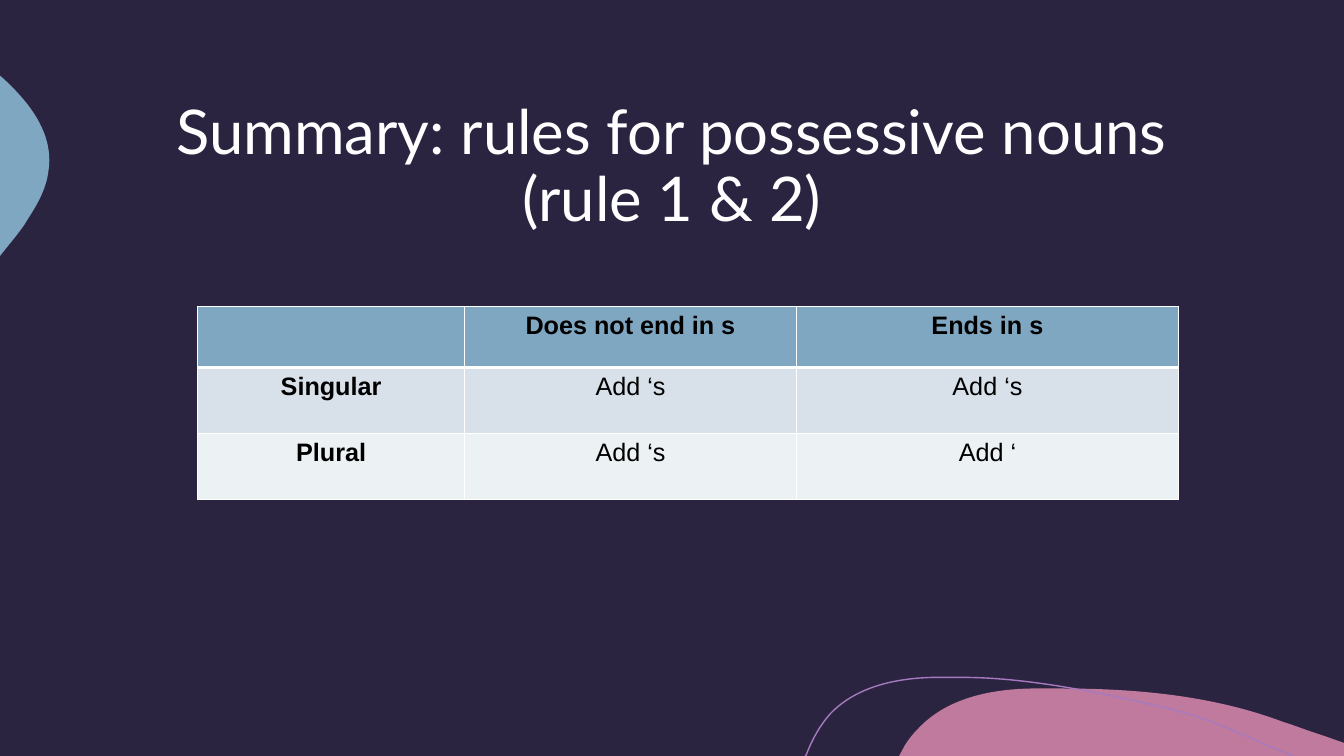
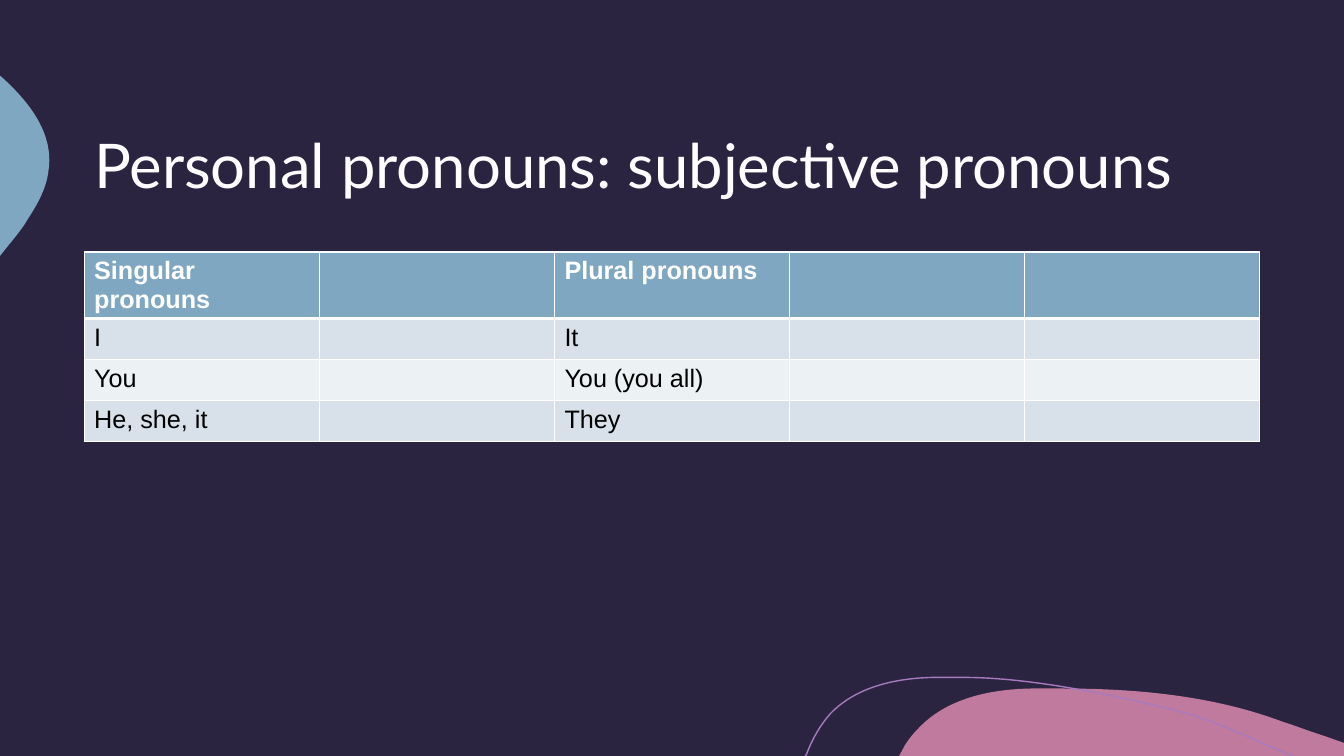
from dataclasses import dataclass

from lxml import etree
from pptx import Presentation
from pptx.dml.color import RGBColor
from pptx.enum.text import MSO_ANCHOR, MSO_AUTO_SIZE, PP_ALIGN
from pptx.oxml.ns import qn
from pptx.shapes.autoshape import Shape
from pptx.slide import Slide, SlideLayout
from pptx.table import _Cell
from pptx.util import Cm, Pt

CENTER, LEFT = PP_ALIGN.CENTER, PP_ALIGN.LEFT
MIDDLE = MSO_ANCHOR.MIDDLE
NO_AUTOFIT = MSO_AUTO_SIZE.NONE

NIGHT, WHITE, BLACK = "2B2441", "FFFFFF", "000000"
PINK, BLUE, VIOLET = "BF7A9D", "7FA7C1", "A77ABF"
BANDS = ("D8E1E9", "ECF1F4")
TITLE_FONT, TABLE_FONT = "Lato", "Arial"
TITLE_ONLY = 5
THIN, THICK = 1, 3
MARGIN, CONTENT_WIDTH = 2.12, 29.63

Point = tuple[float, float]


@dataclass(frozen=True)
class Wave:
    start: Point
    segments: tuple[tuple[Point, ...], ...]
    fill: str | None = None
    line: str | None = None


@dataclass(frozen=True)
class Grid:
    left: float
    top: float
    columns: tuple[float, ...]
    heights: tuple[float, ...]
    rows: tuple[tuple[str, ...], ...]
    align: PP_ALIGN
    header_color: str
    bold_first_column: bool


@dataclass(frozen=True)
class Lesson:
    title: str
    grid: Grid


WAVES = (
    Wave(
        (26.77, 17.35),
        (
            ((28.65, 17.35), (30.58, 17.53), (32.33, 18.19)),
            ((32.66, 18.29), (32.97, 18.42), (33.3, 18.52)),
            ((33.87, 18.72),),
            ((33.87, 19.05),),
            ((22.66, 19.05),),
            ((22.81, 18.77),),
            ((22.91, 18.62), (23.01, 18.49), (23.14, 18.36)),
            ((23.85, 17.6), (24.94, 17.37), (25.98, 17.35)),
            ((26.24, 17.35), (26.49, 17.35), (26.77, 17.35)),
        ),
        fill=PINK,
    ),
    Wave(
        (0, 1.91),
        (
            ((0.03, 1.93),),
            ((0.76, 2.59), (1.37, 3.38), (1.22, 4.32)),
            ((1.17, 4.75), (0.94, 5.16), (0.69, 5.54)),
            ((0.61, 5.69), (0.43, 5.92), (0.2, 6.2)),
            ((0, 6.45),),
        ),
        fill=BLUE,
    ),
    Wave(
        (20.29, 19.05),
        (
            ((20.32, 19.02),),
            ((20.47, 18.62), (20.68, 18.26), (20.93, 17.98)),
            ((21.59, 17.3), (22.58, 17.09), (23.52, 17.07)),
            ((24.26, 17.07),),
            ((25.96, 17.07), (27.94, 17.5), (29.34, 17.83)),
            ((30.71, 18.16), (31.14, 18.47), (32.59, 19.05)),
        ),
        line=VIOLET,
    ),
)

LESSONS = (
    Lesson(
        "Summary: rules for possessive nouns\v(rule 1 & 2)",
        Grid(
            4.98, 7.72, (6.73, 8.36, 9.63), (1.54, 1.66, 1.66),
            (
                ("", "Does not end in s", "Ends in s"),
                ("Singular", "Add ‘s", "Add ‘s"),
                ("Plural", "Add ‘s", "Add ‘"),
            ),
            CENTER, BLACK, True,
        ),
    ),
    Lesson(
        "Personal pronouns: subjective pronouns",
        Grid(
            MARGIN, 6.35, (CONTENT_WIDTH / 5,) * 5, (1.03,) * 4,
            (
                ("Singular pronouns", "", "Plural pronouns", "", ""),
                ("I", "", "It", "", ""),
                ("You", "", "You (you all)", "", ""),
                ("He, she, it", "", "They", "", ""),
            ),
            LEFT, WHITE, False,
        ),
    ),
)


def rgb(color: str) -> RGBColor:
    return RGBColor.from_string(color)


def bend_segments(shape: Shape, wave: Wave) -> None:
    straight_lines = list(shape.element.iter(qn("a:lnTo")))
    for straight, segment in zip(straight_lines, wave.segments):
        if len(segment) == 1:
            continue
        curve = etree.Element(qn("a:cubicBezTo"))
        for x, y in segment:
            etree.SubElement(
                curve, qn("a:pt"),
                x=str(Cm(x) - shape.left), y=str(Cm(y) - shape.top),
            )
        straight.getparent().replace(straight, curve)


def draw_wave(slide: Slide, wave: Wave) -> Shape:
    builder = slide.shapes.build_freeform(Cm(wave.start[0]), Cm(wave.start[1]))
    ends = [segment[-1] for segment in wave.segments]
    builder.add_line_segments(
        [(Cm(x), Cm(y)) for x, y in ends], close=False
    )
    shape = builder.convert_to_shape()
    bend_segments(shape, wave)
    shape.shadow.inherit = False
    if wave.fill:
        outline = next(shape.element.iter(qn("a:path")))
        etree.SubElement(outline, qn("a:close"))
        shape.fill.solid()
        shape.fill.fore_color.rgb = rgb(wave.fill)
    else:
        shape.fill.background()
    if wave.line:
        shape.line.color.rgb = rgb(wave.line)
        shape.line.width = Pt(1)
    else:
        shape.line.fill.background()
    return shape


def prepare_layout(layout: SlideLayout) -> None:
    layout.background.fill.solid()
    layout.background.fill.fore_color.rgb = rgb(NIGHT)
    title, *footers = layout.placeholders
    title.left, title.top = Cm(MARGIN), Cm(2.12)
    title.width, title.height = Cm(CONTENT_WIDTH), Cm(4.23)
    for footer in footers:
        layout.shapes.element.remove(footer.element)


def move_to_layout(shapes: list[Shape], layout: SlideLayout) -> None:
    for shape in shapes:
        layout.shapes.element.append(shape.element)


def write_title(slide: Slide, text: str, align: PP_ALIGN) -> None:
    frame = slide.shapes.title.text_frame
    frame.text = text
    frame.auto_size = NO_AUTOFIT
    frame.vertical_anchor = MIDDLE
    paragraph = frame.paragraphs[0]
    paragraph.alignment = align
    paragraph.line_spacing = 0.9
    paragraph.font.name = TITLE_FONT
    paragraph.font.size = Pt(44)
    paragraph.font.color.rgb = rgb(WHITE)


def set_borders(cell: _Cell, top: int, bottom: int) -> None:
    properties = cell._tc.get_or_add_tcPr()
    for side, width in (("L", THIN), ("R", THIN), ("T", top), ("B", bottom)):
        border = etree.SubElement(properties, qn(f"a:ln{side}"), w=str(Pt(width)))
        fill = etree.SubElement(border, qn("a:solidFill"))
        etree.SubElement(fill, qn("a:srgbClr"), val=WHITE)


def draw_grid(slide: Slide, grid: Grid) -> None:
    table = slide.shapes.add_table(
        len(grid.rows), len(grid.columns), Cm(grid.left), Cm(grid.top),
        Cm(sum(grid.columns)), Cm(sum(grid.heights)),
    ).table
    for column, width in zip(table.columns, grid.columns):
        column.width = Cm(width)
    for row, height in zip(table.rows, grid.heights):
        row.height = Cm(height)
    for r, texts in enumerate(grid.rows):
        header = r == 0
        for c, text in enumerate(texts):
            cell = table.cell(r, c)
            set_borders(cell, THICK if r == 1 else THIN, THICK if header else THIN)
            cell.fill.solid()
            cell.fill.fore_color.rgb = rgb(BLUE if header else BANDS[(r - 1) % 2])
            if not text:
                continue
            cell.text = text
            paragraph = cell.text_frame.paragraphs[0]
            paragraph.alignment = grid.align
            paragraph.font.name = TABLE_FONT
            paragraph.font.size = Pt(18)
            paragraph.font.bold = header or (grid.bold_first_column and c == 0)
            paragraph.font.color.rgb = rgb(grid.header_color if header else BLACK)


def main() -> None:
    deck = Presentation()
    deck.slide_width, deck.slide_height = Cm(33.87), Cm(19.05)
    layout = deck.slide_layouts[TITLE_ONLY]
    prepare_layout(layout)
    slides = [deck.slides.add_slide(layout) for _ in LESSONS]
    move_to_layout([draw_wave(slides[0], wave) for wave in WAVES], layout)
    for slide, lesson in zip(slides, LESSONS):
        write_title(slide, lesson.title, lesson.grid.align)
        draw_grid(slide, lesson.grid)
    deck.save("out.pptx")


if __name__ == "__main__":
    main()
